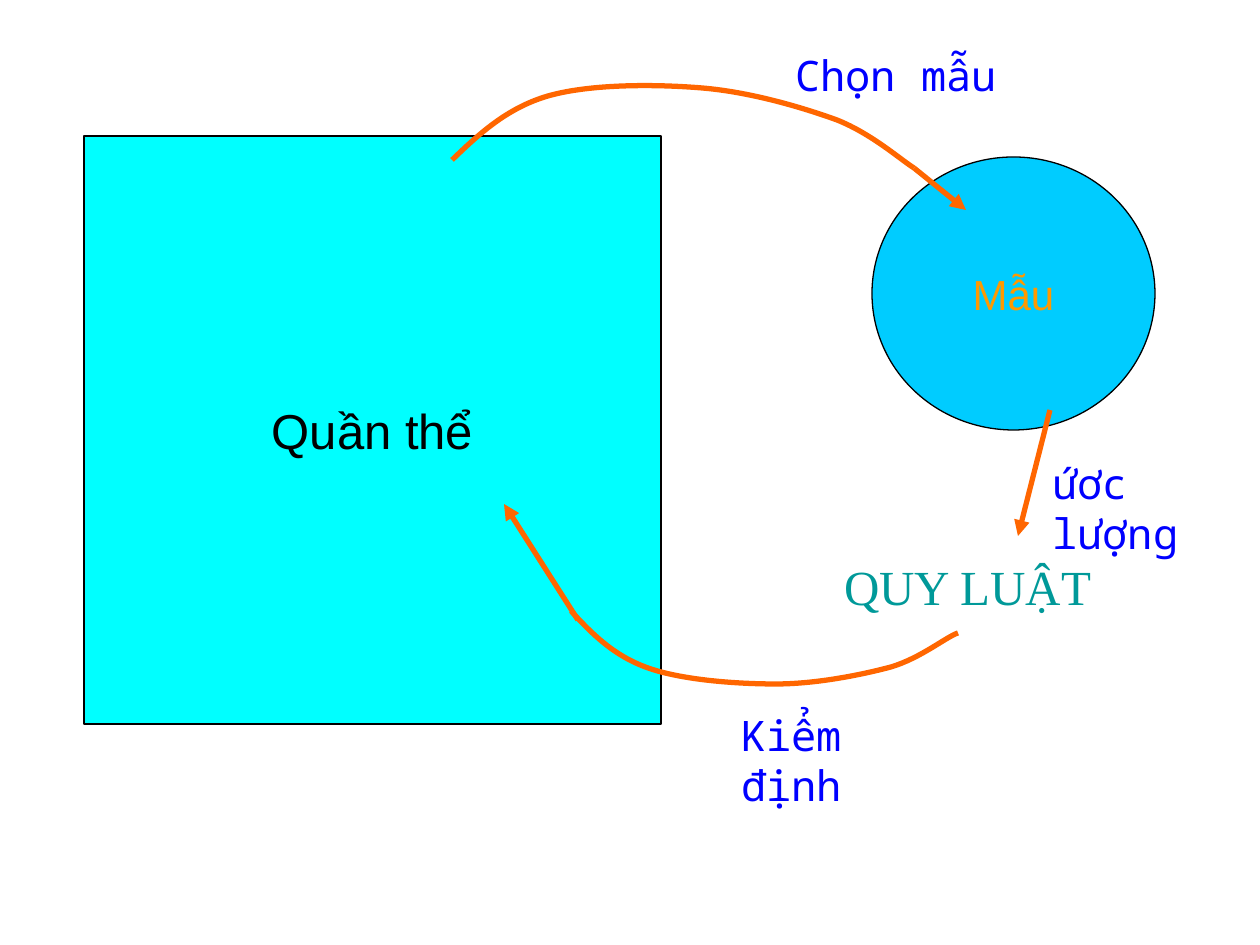
from pptx import Presentation
from pptx.dml.color import RGBColor
from pptx.enum import shapes, text
from pptx.oxml import ns, xmlchemy
from pptx.util import Emu, Pt

SCALE = 914400 / 126
ORANGE, BLUE, BLACK = "FF6600", "0000FF", "000000"


def px(*lengths):
    return [Emu(round(length * SCALE)) for length in lengths]


def color(value):
    return RGBColor.from_string(value)


class Diagram:
    """Holds the style and the current slide, and draws each kind of element."""

    def __init__(self, presentation):
        self.slide = presentation.slides.add_slide(presentation.slide_layouts[5])
        self.shapes = self.slide.shapes

    def set_text(self, shape, words, size, font, hue, align, wrap=True):
        frame = shape.text_frame
        frame.text = words
        frame.word_wrap = wrap
        frame.auto_size = text.MSO_AUTO_SIZE.NONE
        paragraph = frame.paragraphs[0]
        paragraph.alignment = align
        run_font = paragraph.runs[0].font
        run_font.size, run_font.name = Pt(size), font
        run_font.color.rgb = color(hue)

    def paint(self, shape, fill):
        shape.fill.solid()
        shape.fill.fore_color.rgb = color(fill)
        self.outline(shape, BLACK, 0.75)

    def outline(self, shape, hue, width):
        shape.line.color.rgb = color(hue)
        shape.line.width = Pt(width)

    def title(self, words, box, fill):
        title = self.shapes.title
        title.left, title.top, title.width, title.height = px(*box)
        self.paint(title, fill)
        self.set_text(title, words, 28, "Arial", BLACK, text.PP_ALIGN.CENTER)
        title.text_frame.vertical_anchor = text.MSO_ANCHOR.MIDDLE

    def ellipse(self, words, box, fill, hue):
        shape = self.shapes.add_shape(shapes.MSO_SHAPE.OVAL, *px(*box))
        shape.shadow.inherit = False
        self.paint(shape, fill)
        self.set_text(shape, words, 24, "Arial", hue, text.PP_ALIGN.CENTER, False)
        shape.text_frame.vertical_anchor = text.MSO_ANCHOR.MIDDLE

    def label(self, words, box, size=24, font="Noto Sans Mono", hue=BLUE,
              align=text.PP_ALIGN.LEFT):
        shape = self.shapes.add_textbox(*px(*box))
        self.set_text(shape, words, size, font, hue, align)

    def curve(self, start, *points):
        builder = self.shapes.build_freeform(*start, scale=SCALE)
        builder.add_line_segments(points, close=False)
        shape = builder.convert_to_shape()
        shape.shadow.inherit = False
        shape.fill.background()
        self.outline(shape, ORANGE, 3)
        route = next(shape.element.iter(ns.qn("a:path")))
        segments = route.findall(ns.qn("a:lnTo"))
        for first in range(0, len(segments), 3):
            bezier = xmlchemy.OxmlElement("a:cubicBezTo")
            for segment in segments[first:first + 3]:
                bezier.append(segment[0])
                route.remove(segment)
            route.append(bezier)

    def arrow(self, start, end):
        connector = self.shapes.add_connector(
            shapes.MSO_CONNECTOR.STRAIGHT, *px(*start, *end))
        self.outline(connector, ORANGE, 3)
        head = xmlchemy.OxmlElement("a:tailEnd")
        head.set("type", "triangle")
        properties = connector.element.spPr
        properties.find(ns.qn("a:ln")).append(head)
        properties.append(xmlchemy.OxmlElement("a:effectLst"))


def main():
    presentation = Presentation()
    presentation.slide_width, presentation.slide_height = px(1260, 945)
    diagram = Diagram(presentation)

    diagram.title("Quần thể", (84, 136, 577, 588), "00FFFF")
    diagram.label("QUY LUẬT", (819, 550, 297, 81), 28, "Times New Roman",
                  "009999", text.PP_ALIGN.CENTER)
    diagram.ellipse("Mẫu", (872, 157, 283, 273), "00CCFF", "FF9900")

    diagram.curve((452, 160), (479, 134), (507, 108), (548, 96),
                  (590, 84), (654, 84), (702, 88),
                  (750, 92), (801, 107), (837, 120),
                  (872, 134), (901, 160), (914, 168))
    diagram.curve((571, 611), (592, 634), (614, 656), (648, 668),
                  (682, 680), (736, 684), (776, 684),
                  (816, 684), (861, 675), (891, 667),
                  (921, 658), (946, 637), (958, 633))

    for start, end in (((1050, 410), (1018, 536)),
                       ((914, 168), (966, 210)),
                       ((578, 620), (504, 504))):
        diagram.arrow(start, end)

    for words, left, top in (("ứơc lượng", 1040, 451),
                             ("Chọn mẫu", 783, 43),
                             ("Kiểm định", 729, 703)):
        diagram.label(words, (left, top, 228, 63))

    presentation.save("out.pptx")


if __name__ == "__main__":
    main()
